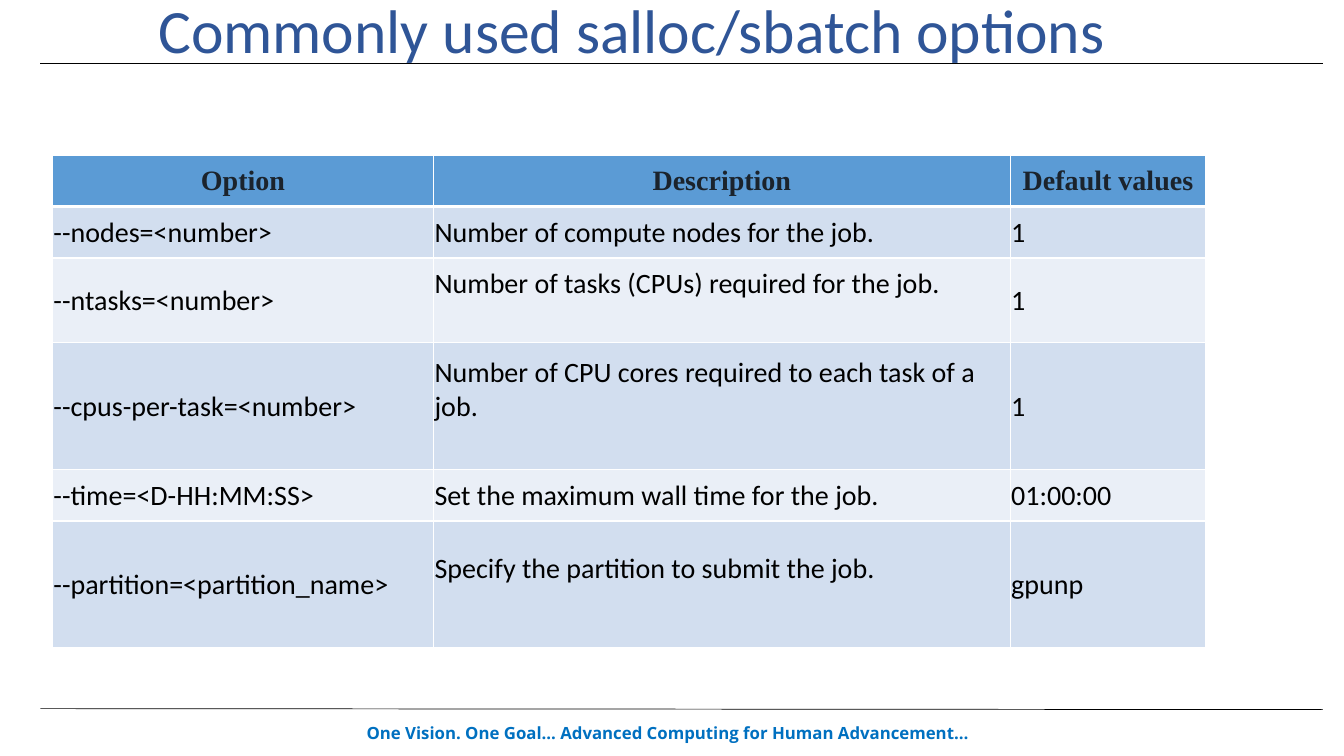
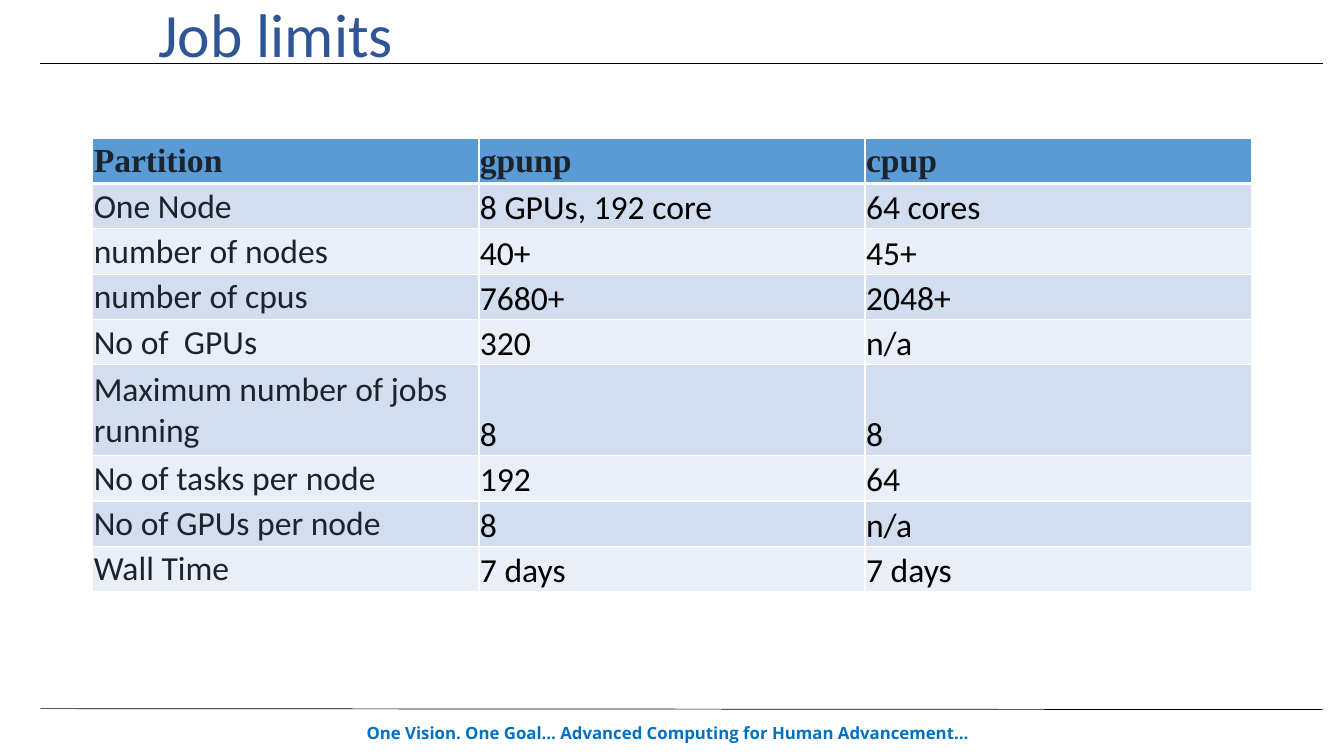
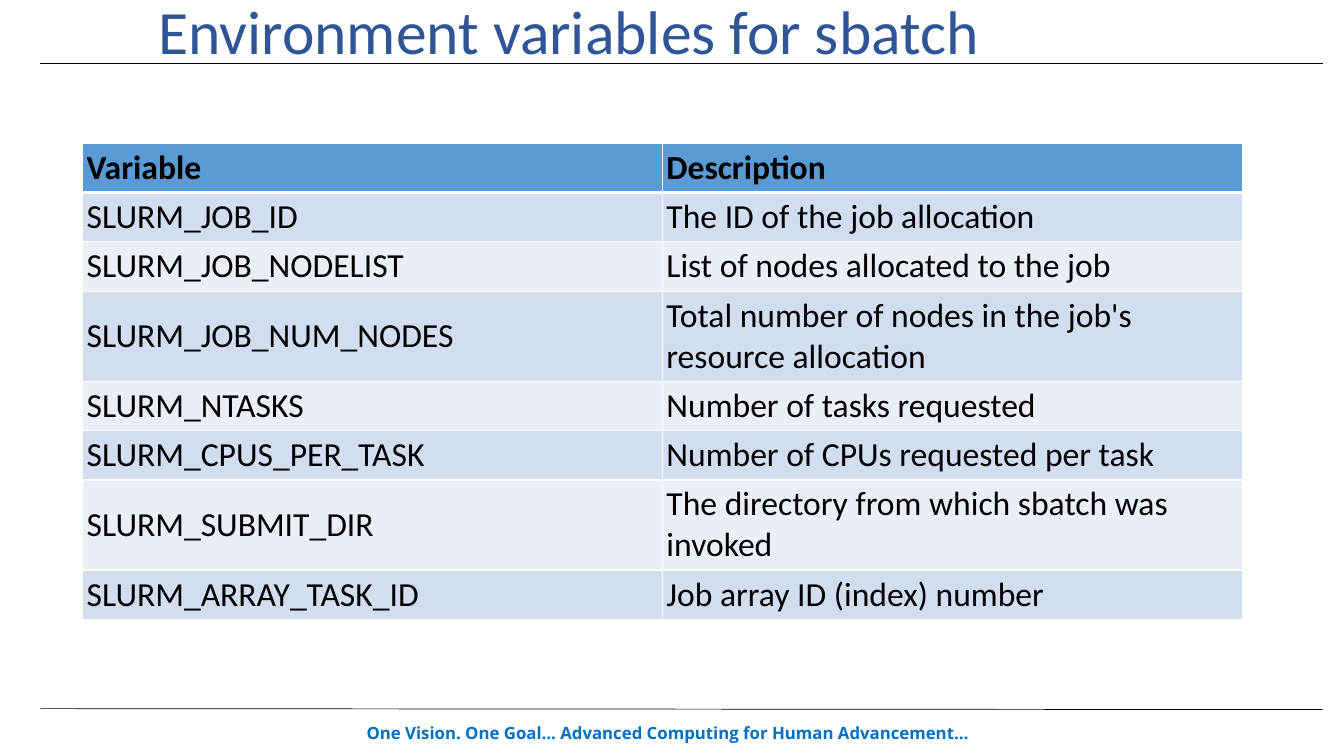
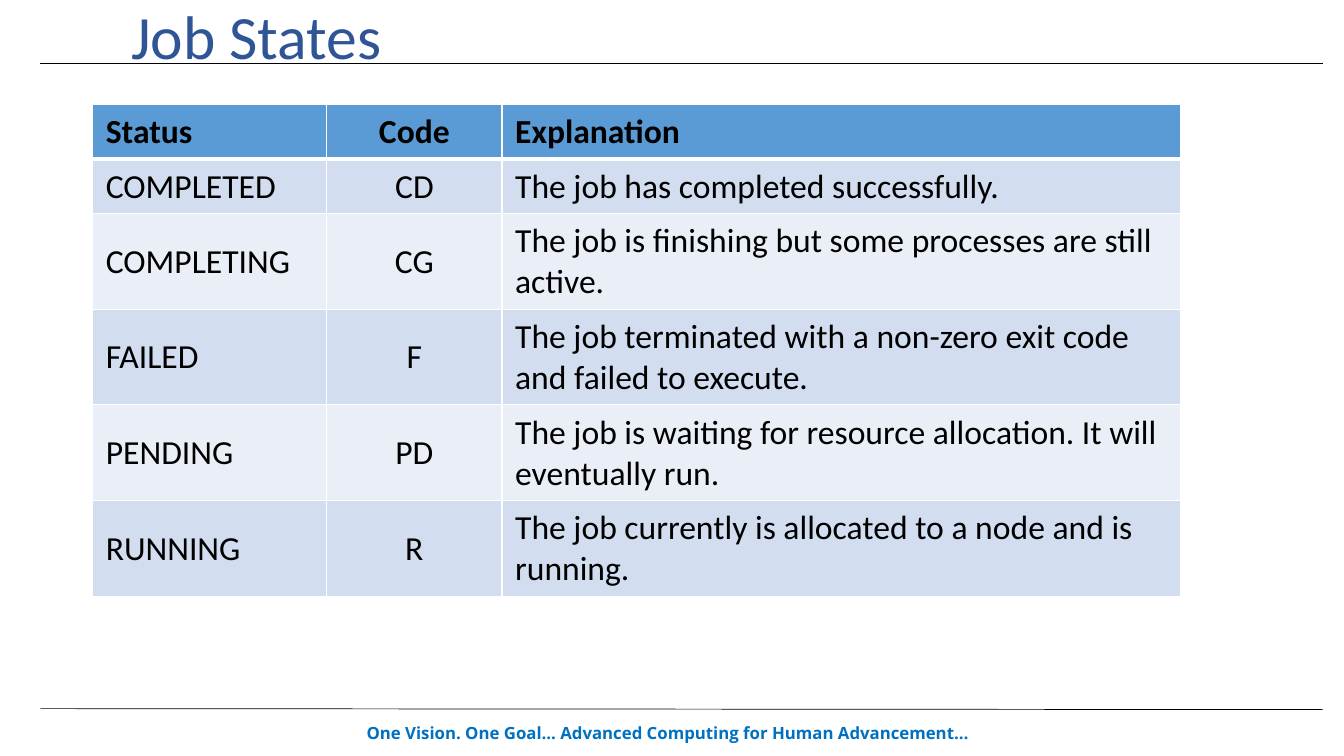
"""Build four slides of tables on running batch jobs."""
import pptx
import pptx.dml.color
import pptx.enum.shapes
import pptx.enum.text
import pptx.oxml
import pptx.oxml.ns
import pptx.util

Inches = pptx.util.Inches
Pt = pptx.util.Pt
Color = pptx.dml.color.RGBColor
Align = pptx.enum.text.PP_ALIGN
Anchor = pptx.enum.text.MSO_ANCHOR

BLACK = Color(0x00, 0x00, 0x00)
WHITE = Color(0xFF, 0xFF, 0xFF)
INK = Color(0x1B, 0x23, 0x2C)
NAVY = Color(0x2F, 0x55, 0x97)
AZURE = Color(0x00, 0x70, 0xC0)
HEAD = Color(0x5B, 0x9B, 0xD5)
BANDS = (Color(0xD2, 0xDE, 0xEF), Color(0xEA, 0xEF, 0xF7))

SANS = "Calibri"
SERIF = "Times New Roman"
MOTTO = "One Vision. One Goal... Advanced Computing for Human Advancement…"
TIGHT = (0.01, 0.01, 0.01, 0)
RAISED = (0.01, 0.01, 0.01, 0.33)
RULES = ((0.63, 0.63), (7.03, 7.04))

SLIDES = [
    {
        "title": "Commonly used salloc/sbatch options",
        "tall": 0.66, "indent": 0.65,
        "at": (0.52, 1.54), "cols": (3.78, 5.72, 1.94),
        "heights": (0.51, 0.51, 0.84, 1.26, 0.51, 1.26),
        "size": 20, "pad": TIGHT,
        "head": {"font": SERIF, "color": INK, "align": Align.CENTER},
        "raised": [(2, 1), (3, 1), (5, 1)],
        "rows": [
            ("Option", "Description", "Default values"),
            ("--nodes=<number>", "Number of compute nodes for the job.", "1"),
            ("--ntasks=<number>", "Number of tasks (CPUs) required for the job.", "1"),
            ("--cpus-per-task=<number>", "Number of CPU cores required to each task of a job.", "1"),
            ("--time=<D-HH:MM:SS>", "Set the maximum wall time for the job.", "01:00:00"),
            ("--partition=<partition_name>", "Specify the partition to submit the job.", "gpunp"),
        ],
    },
    {
        "title": "Job limits",
        "tall": 0.74, "indent": 0.65,
        "at": (0.92, 1.37), "cols": (3.83, 3.83, 3.83),
        "heights": (0.45, 0.45, 0.45, 0.45, 0.45, 0.9, 0.45, 0.45, 0.45),
        "size": 24, "pad": TIGHT,
        "head": {"font": SERIF, "color": INK},
        "styles": {0: {"color": INK}, 1: {"anchor": Anchor.BOTTOM}, 2: {"anchor": Anchor.BOTTOM}},
        "rows": [
            ("Partition", "gpunp", "cpup"),
            ("One Node", "8 GPUs, 192 core", "64 cores"),
            ("number of nodes", "40+", "45+"),
            ("number of cpus", "7680+", "2048+"),
            ("No of  GPUs", "320", "n/a"),
            ("Maximum number of jobs running", "8", "8"),
            ("No of tasks per node", "192", "64"),
            ("No of GPUs per node", "8", "n/a"),
            ("Wall Time", "7 days", "7 days"),
        ],
    },
    {
        "title": "Environment variables for sbatch",
        "tall": 0.69, "indent": 0.65,
        "at": (0.82, 1.42), "cols": (5.75, 5.75),
        "heights": (0.49, 0.49, 0.49, 0.89, 0.49, 0.49, 0.89, 0.49),
        "size": 24, "pad": (0.04, 0.04, 0.04, 0.04),
        "rows": [
            ("Variable", "Description"),
            ("SLURM_JOB_ID", "The ID of the job allocation"),
            ("SLURM_JOB_NODELIST", "List of nodes allocated to the job"),
            ("SLURM_JOB_NUM_NODES", "Total number of nodes in the job's resource allocation"),
            ("SLURM_NTASKS", "Number of tasks requested"),
            ("SLURM_CPUS_PER_TASK", "Number of CPUs requested per task"),
            ("SLURM_SUBMIT_DIR", "The directory from which sbatch was invoked"),
            ("SLURM_ARRAY_TASK_ID", "Job array ID (index) number"),
        ],
    },
    {
        "title": "Job States",
        "tall": 0.79, "indent": 0.38,
        "at": (0.92, 1.04), "cols": (2.32, 1.74, 6.73),
        "heights": (0.53, 0.54, 0.95, 0.95, 0.95, 0.95),
        "size": 24, "pad": (0.13, 0.07, 0.13, 0.06),
        "styles": {1: {"align": Align.CENTER}},
        "rows": [
            ("Status", "Code", "Explanation"),
            ("COMPLETED", "CD", "The job has completed successfully."),
            ("COMPLETING", "CG", "The job is finishing but some processes are still active."),
            ("FAILED", "F", "The job terminated with a non-zero exit code and failed to execute."),
            ("PENDING", "PD", "The job is waiting for resource allocation. It will eventually run."),
            ("RUNNING", "R", "The job currently is allocated to a node and is running."),
        ],
    },
]


def write(frame, text, size=24, font=SANS, color=BLACK, bold=False,
          align=Align.LEFT, spacing=None):
    """Put one formatted paragraph into a text frame."""
    frame.word_wrap = True
    par = frame.paragraphs[0]
    par.alignment = align
    if spacing:
        par.line_spacing = spacing
    run = par.add_run()
    run.text = text
    run.font.size = Pt(size)
    run.font.name = font
    run.font.bold = bold
    run.font.color.rgb = color


def inset(box, pad):
    """Set the left, top, right and bottom margins."""
    for side, gap in zip(("left", "top", "right", "bottom"), pad):
        setattr(box, "margin_" + side, Inches(gap))


def edge(cell, widths):
    """Draw white cell borders, widths given as left, right, top, bottom."""
    props = cell._tc.get_or_add_tcPr()
    for spot, (side, width) in enumerate(zip("LRTB", widths)):
        props.insert(spot, pptx.oxml.parse_xml(
            f'<a:ln{side} {pptx.oxml.ns.nsdecls("a")} w="{Pt(width)}">'
            f'<a:solidFill><a:srgbClr val="{WHITE}"/></a:solidFill></a:ln{side}>'))


def share(slide, layout):
    """Set up the rules and footer that every slide takes from the layout."""
    for holder in list(layout.placeholders):
        if holder.placeholder_format.type != pptx.enum.shapes.PP_PLACEHOLDER.TITLE:
            holder.element.getparent().remove(holder.element)
    parts = []
    for start, end in RULES:
        rule = slide.shapes.add_connector(
            pptx.enum.shapes.MSO_CONNECTOR.STRAIGHT,
            Inches(0.4), Inches(start), Inches(13.12), Inches(end))
        rule.line.color.rgb = BLACK
        rule.line.width = Pt(0.5)
        rule.element.spPr.append(pptx.oxml.parse_xml(
            f'<a:effectLst {pptx.oxml.ns.nsdecls("a")}/>'))
        parts.append(rule)
    foot = slide.shapes.add_textbox(Inches(0.23), Inches(7.12), Inches(12.79), Inches(0.3))
    write(foot.text_frame, MOTTO, size=12, font="Open Sans", color=AZURE,
          bold=True, align=Align.CENTER)
    parts.append(foot)
    for part in parts:
        layout.shapes.element.append(part.element)


def name(slide, data):
    """Place and format the slide title."""
    title = slide.shapes.title
    title.left, title.top = Inches(0.92), Inches(0)
    title.width, title.height = Inches(11.5), Inches(data["tall"])
    frame = title.text_frame
    frame.auto_size = pptx.enum.text.MSO_AUTO_SIZE.NONE
    frame.vertical_anchor = Anchor.MIDDLE
    inset(frame, (data["indent"], 0.05, 0.1, 0.05))
    write(frame, data["title"], size=44, color=NAVY, spacing=0.9)


def grid(slide, data):
    """Draw the table with its header and banded rows."""
    rows, cols, tall = data["rows"], data["cols"], data["heights"]
    left, top = data["at"]
    table = slide.shapes.add_table(
        len(rows), len(cols), Inches(left), Inches(top),
        Inches(sum(cols)), Inches(sum(tall))).table
    for col, width in zip(table.columns, cols):
        col.width = Inches(width)
    for row, height in zip(table.rows, tall):
        row.height = Inches(height)
    for r, texts in enumerate(rows):
        for c, text in enumerate(texts):
            cell = table.cell(r, c)
            style = dict(data.get("styles", {}).get(c, {}))
            anchor = style.pop("anchor", Anchor.MIDDLE)
            if r == 0:
                anchor = Anchor.MIDDLE
                style.update(data.get("head", {}), bold=True)
            cell.vertical_anchor = anchor
            inset(cell, RAISED if (r, c) in data.get("raised", []) else data["pad"])
            write(cell.text_frame, text, size=data["size"], **style)
            cell.fill.solid()
            cell.fill.fore_color.rgb = BANDS[(r - 1) % 2] if r else HEAD
            edge(cell, (1, 1, 3 if r == 1 else 1, 1 if r else 3))


def main():
    """Build and save the slides."""
    deck = pptx.Presentation()
    deck.slide_width, deck.slide_height = Inches(13.33), Inches(7.5)
    layout = deck.slide_layouts[5]
    for spot, data in enumerate(SLIDES):
        slide = deck.slides.add_slide(layout)
        if spot == 0:
            share(slide, layout)
        name(slide, data)
        grid(slide, data)
    deck.save("out.pptx")


if __name__ == "__main__":
    main()
